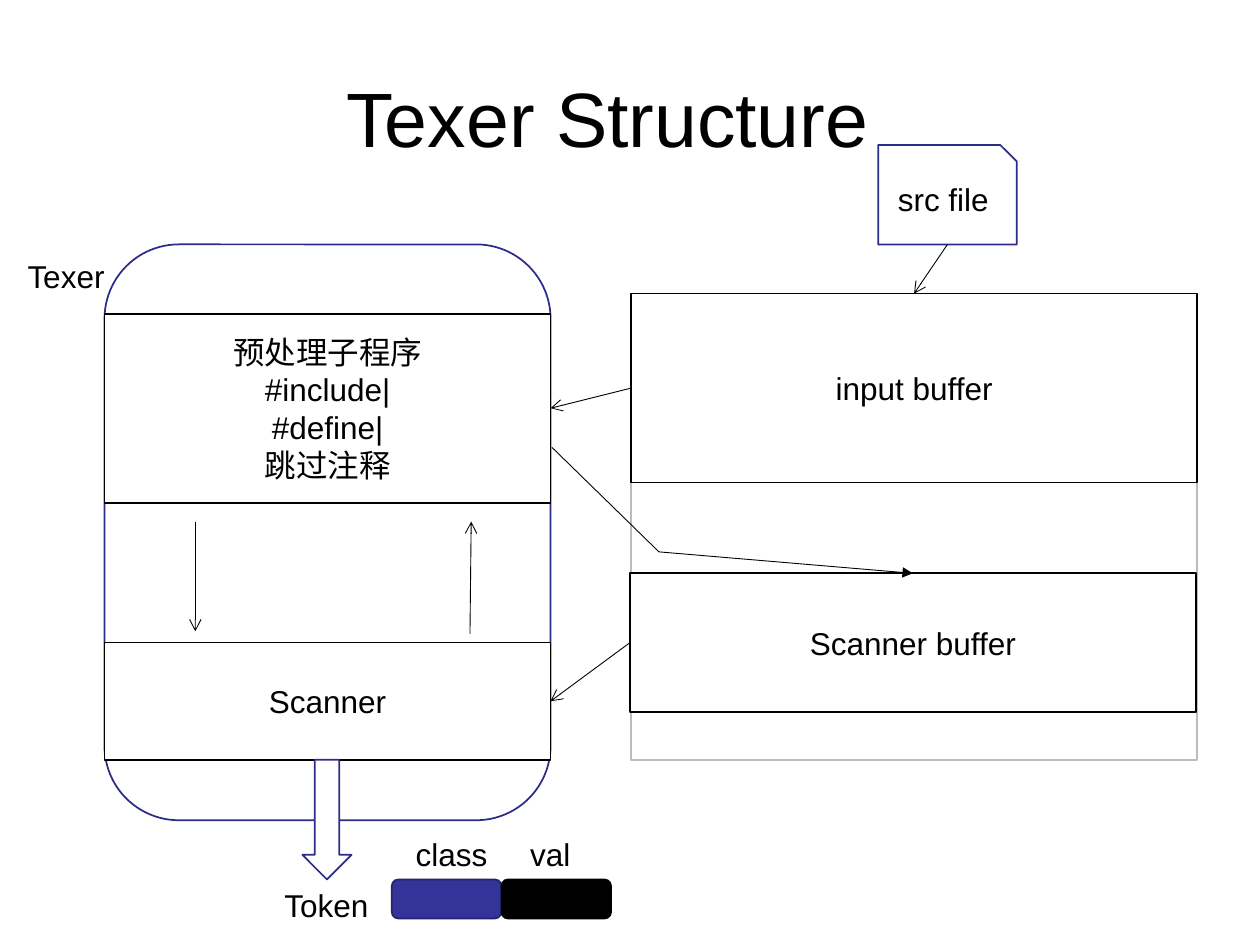
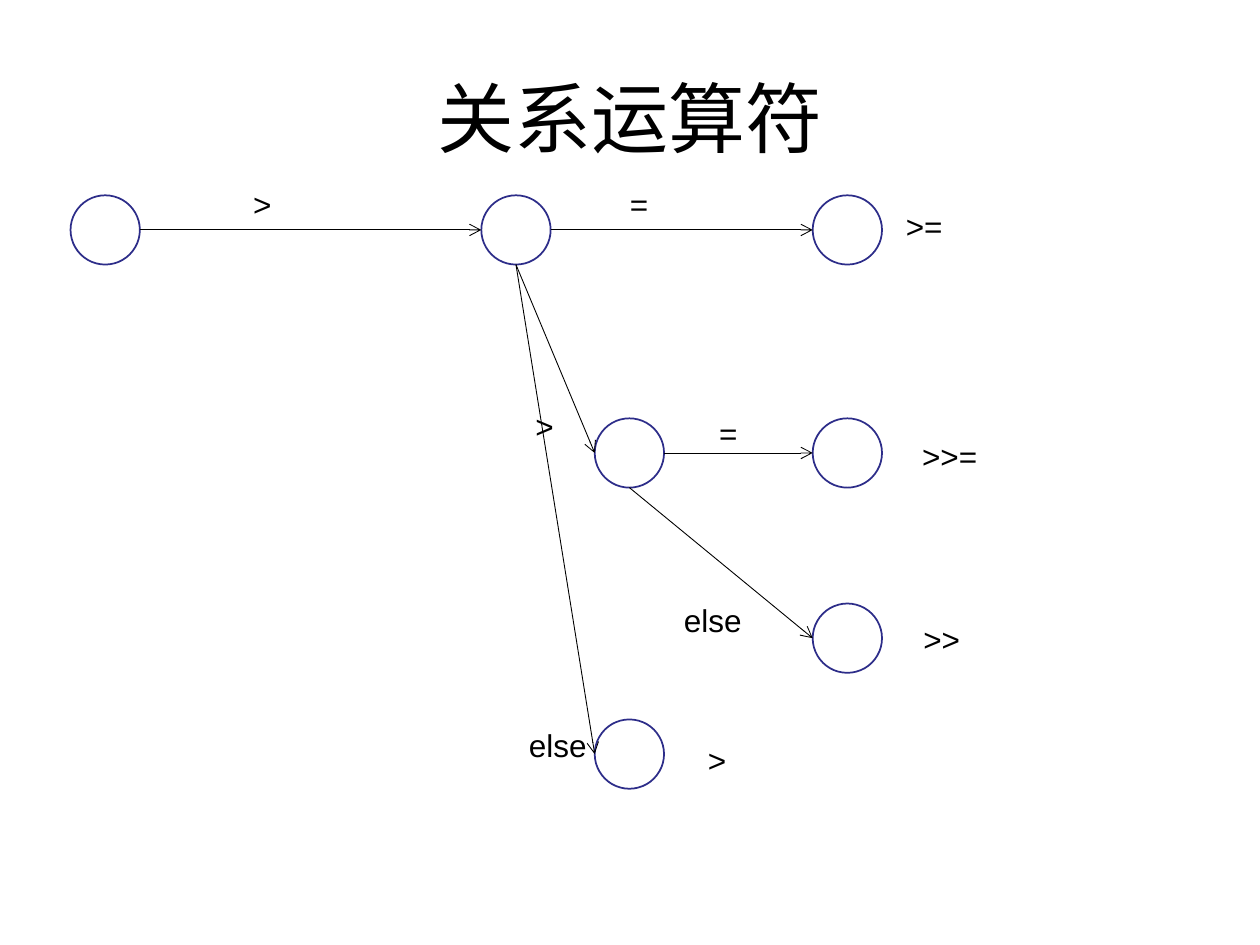
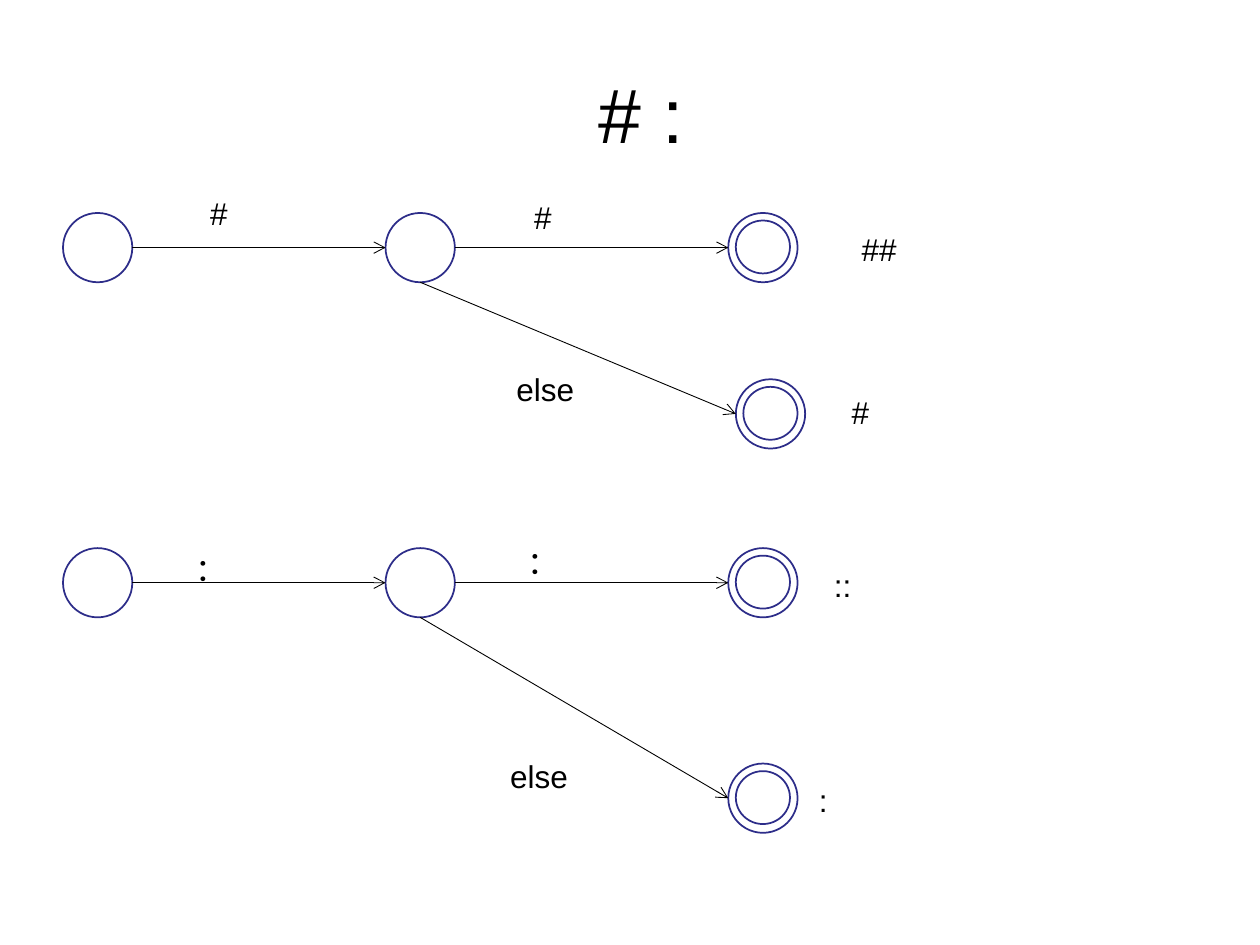
"""Build three slides on the structure and state diagrams of a lexer."""
from lxml.etree import SubElement
from pptx import Presentation
from pptx.dml.color import RGBColor
from pptx.enum.shapes import MSO_CONNECTOR, MSO_SHAPE
from pptx.enum.text import MSO_ANCHOR, MSO_AUTO_SIZE, PP_ALIGN
from pptx.oxml.ns import qn
from pptx.util import Inches, Pt

FONT = "Arial"
BLACK, WHITE, NAVY, BLUE, DEEP, GREY = (
    "000000", "FFFFFF", "2D2D89", "333399", "23236F", "BCBCBC")
TOP, LEFT, BOTTOM, RIGHT = range(4)
SIZE, INSET, INNER = 0.55, 0.06, (0.43, 0.42)

PARTS = [
    ("texer", MSO_SHAPE.ROUNDED_RECTANGLE, (0.83, 1.94, 3.54, 4.57), WHITE, NAVY, []),
    ("prep", MSO_SHAPE.RECTANGLE, (0.83, 2.49, 3.54, 1.5), WHITE, BLACK,
     ["预处理子程序", "#include|", "#define|", "跳过注释"]),
    ("scanner", MSO_SHAPE.RECTANGLE, (0.83, 5.1, 3.54, 0.93), WHITE, BLACK, ["Scanner"]),
    ("memory", MSO_SHAPE.RECTANGLE, (5.01, 2.33, 4.49, 3.7), WHITE, GREY, []),
    ("input", MSO_SHAPE.RECTANGLE, (5.01, 2.33, 4.49, 1.5), WHITE, BLACK, ["input buffer"]),
    ("buffer", MSO_SHAPE.RECTANGLE, (5, 4.55, 4.49, 1.1), WHITE, BLACK, ["Scanner buffer"]),
    ("source", MSO_SHAPE.SNIP_1_RECTANGLE, (6.97, 1.15, 1.1, 0.79), WHITE, NAVY, ["src file"]),
    ("out", MSO_SHAPE.DOWN_ARROW, (2.4, 6.03, 0.39, 0.95), WHITE, NAVY, []),
    ("class", MSO_SHAPE.ROUNDED_RECTANGLE, (3.11, 6.98, 0.87, 0.31), BLUE, DEEP, []),
    ("val", MSO_SHAPE.ROUNDED_RECTANGLE, (3.98, 6.98, 0.87, 0.31), BLACK, BLACK, []),
]
JOINS = [
    ("source", BOTTOM, "input", TOP),
    ("input", LEFT, "prep", RIGHT),
    ("buffer", LEFT, "scanner", RIGHT),
]
FLOWS = [((3.73, 5.03), (3.74, 4.14)), ((1.55, 4.14), (1.55, 5.01))]
BEND = [(4.38, 3.55), (5.23, 4.38), (7.25, 4.55)]
LABELS = [
    ("Texer", 0.12, 1.99, 1.18), ("Token", 2.16, 6.98, 1.24),
    ("class", 3.2, 6.58, 0.9), ("val", 4.11, 6.58, 0.73),
]

GRAPHS = [
    {
        "title": ("关系运算符", 0.5, 0.3),
        "nodes": {
            "start": (0.56, 1.55), "gt": (3.82, 1.55), "ge": (6.45, 1.55),
            "shift": (4.72, 3.32), "assign": (6.45, 3.32),
            "right": (6.45, 4.79), "more": (4.72, 5.71),
        },
        "final": [],
        "edges": [
            ("start", RIGHT, "gt"), ("gt", RIGHT, "ge"),
            ("shift", RIGHT, "assign"), ("gt", BOTTOM, "shift"),
            ("shift", BOTTOM, "right"), ("gt", BOTTOM, "more"),
        ],
        "labels": [
            (">", 1.91, 1.42, 0.99), ("=", 4.9, 1.42, 1.02), (">=", 7.09, 1.59, 0.99),
            (">", 4.15, 3.18, 0.38), ("=", 5.61, 3.24, 0.65), ("else", 5.33, 4.72, 0.78),
            ("else", 4.1, 5.71, 0.86), (">>=", 7.22, 3.42, 0.77),
            (">>", 7.23, 4.87, 0.6), (">", 5.52, 5.83, 0.58),
        ],
    },
    {
        "title": ("# :", 0.59, 0.27),
        "nodes": {
            "start": (0.5, 1.69), "hash": (3.06, 1.69),
            "paste": (5.78, 1.69), "single": (5.84, 3.01),
            "begin": (0.5, 4.35), "colon": (3.06, 4.35),
            "scope": (5.78, 4.35), "lone": (5.78, 6.06),
        },
        "final": ["paste", "single", "scope", "lone"],
        "edges": [
            ("start", RIGHT, "hash"), ("hash", RIGHT, "paste"), ("hash", BOTTOM, "single"),
            ("begin", RIGHT, "colon"), ("colon", RIGHT, "scope"), ("colon", BOTTOM, "lone"),
        ],
        "labels": [
            ("#", 4.14, 1.52, 1.26), ("else", 4, 2.89, 0.99), ("##", 6.74, 1.78, 0.94),
            ("#", 6.66, 3.07, 1.09), ("#", 1.57, 1.49, 0.91), ("：", 1.45, 4.32, 0.71),
            ("：", 4.09, 4.26, 0.67), ("::", 6.52, 4.44, 0.76), (":", 6.4, 6.15, 0.88),
            ("else", 3.95, 5.96, 0.73),
        ],
    },
]


def color(code):
    return RGBColor.from_string(code)


def write(frame, lines, size=18, align=PP_ALIGN.CENTER):
    frame.word_wrap = True
    for i, line in enumerate(lines):
        para = frame.add_paragraph() if i else frame.paragraphs[0]
        para.alignment = align
        run = para.add_run()
        run.text = line
        run.font.name, run.font.size = FONT, Pt(size)
        run.font.color.rgb = color(BLACK)


def add_title(slide, text, x, y):
    frame = slide.shapes.add_textbox(*map(Inches, (x, y, 9, 1.25))).text_frame
    frame.vertical_anchor = MSO_ANCHOR.MIDDLE
    write(frame, [text], 44)


def add_labels(slide, labels):
    for text, x, y, wide in labels:
        frame = slide.shapes.add_textbox(*map(Inches, (x, y, wide, 0.4))).text_frame
        write(frame, [text], align=PP_ALIGN.LEFT)
        frame.auto_size = MSO_AUTO_SIZE.SHAPE_TO_FIT_TEXT


def add_part(slide, kind, box, fill=WHITE, edge=NAVY, lines=()):
    part = slide.shapes.add_shape(kind, *map(Inches, box))
    part.shadow.inherit = False
    part.fill.solid()
    part.fill.fore_color.rgb = color(fill)
    part.line.color.rgb = color(edge)
    part.line.width = Pt(1)
    part.text_frame.vertical_anchor = MSO_ANCHOR.MIDDLE
    write(part.text_frame, lines)
    return part


def add_line(slide, start=(0, 0), end=(0, 0), head="arrow"):
    line = slide.shapes.add_connector(MSO_CONNECTOR.STRAIGHT, *map(Inches, (*start, *end)))
    line.line.color.rgb = color(BLACK)
    line.line.width = Pt(0.5)
    if head:
        SubElement(line.line._get_or_add_ln(), qn("a:tailEnd"), type=head)
    SubElement(line._element.spPr, qn("a:effectLst"))
    return line


def draw_texer(slide):
    add_title(slide, "Texer Structure\t", 0.5, 0.3)
    parts = {name: add_part(slide, *rest) for name, *rest in PARTS}
    for first, side, last, port in JOINS:
        line = add_line(slide)
        line.begin_connect(parts[first], side)
        line.end_connect(parts[last], port)
    for start, end in FLOWS:
        add_line(slide, start, end)
    add_line(slide, BEND[0], BEND[1], None)
    add_line(slide, BEND[1], BEND[2], "triangle").end_connect(parts["buffer"], TOP)
    add_labels(slide, LABELS)


def draw_graph(slide, graph):
    add_title(slide, *graph["title"])
    nodes = graph["nodes"]
    for name, (x, y) in nodes.items():
        add_part(slide, MSO_SHAPE.OVAL, (x, y, SIZE, SIZE))
        if name in graph["final"]:
            add_part(slide, MSO_SHAPE.OVAL, (x + INSET, y + INSET, *INNER))
    half = SIZE / 2
    for first, side, last in graph["edges"]:
        x, y = nodes[first]
        start = (x + SIZE, y + half) if side == RIGHT else (x + half, y + SIZE)
        x, y = nodes[last]
        add_line(slide, start, (x, y + half))
    add_labels(slide, graph["labels"])


def main():
    deck = Presentation()
    deck.slide_width, deck.slide_height = Inches(10), Inches(7.5)
    blank = deck.slide_layouts[6]
    draw_texer(deck.slides.add_slide(blank))
    for graph in GRAPHS:
        draw_graph(deck.slides.add_slide(blank), graph)
    deck.save("out.pptx")


if __name__ == "__main__":
    main()
